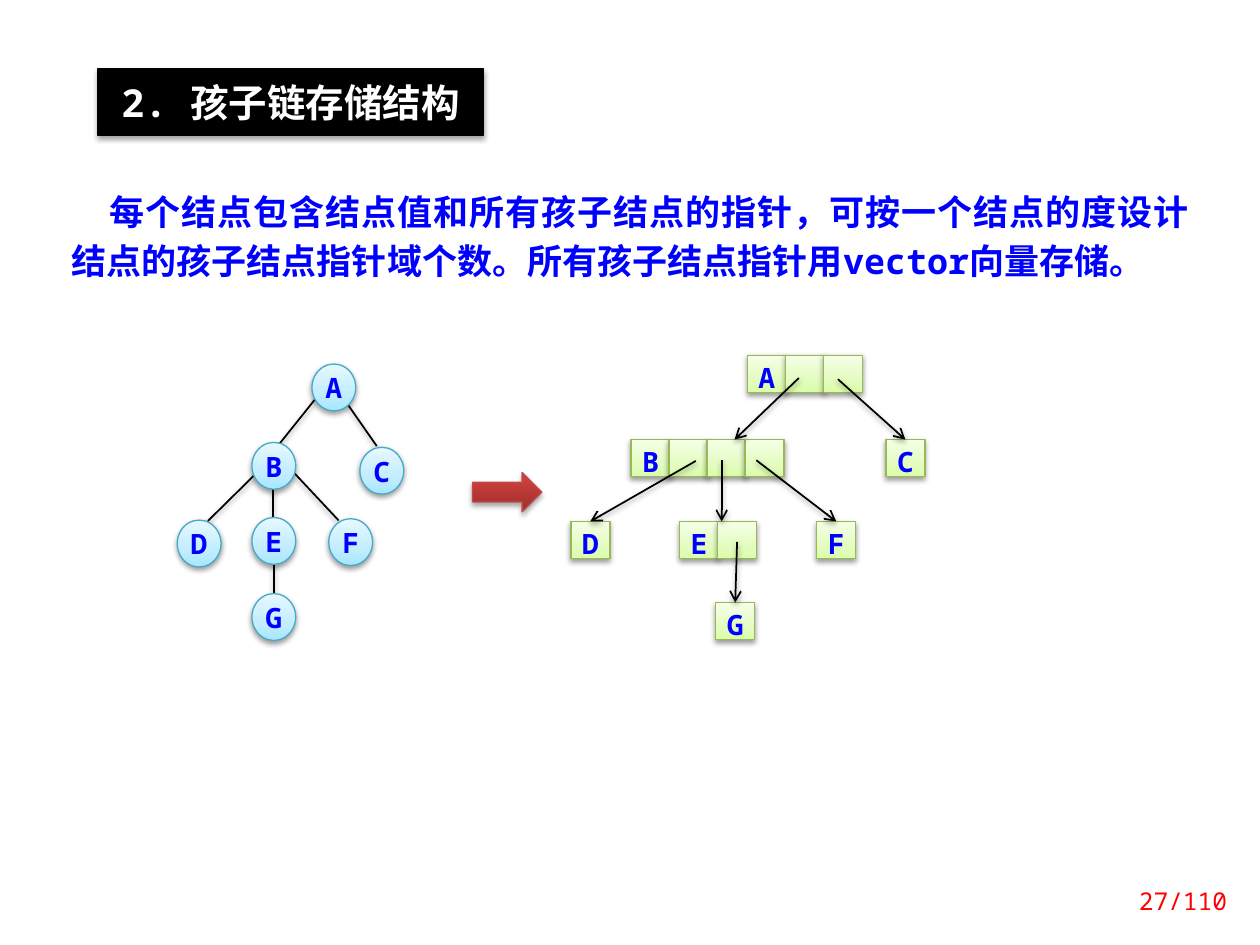
from copy import deepcopy

from lxml import etree
from pptx import Presentation
from pptx.dml.color import RGBColor
from pptx.enum.shapes import MSO_CONNECTOR, MSO_SHAPE
from pptx.enum.text import MSO_ANCHOR, MSO_AUTO_SIZE, PP_ALIGN
from pptx.oxml.ns import qn
from pptx.util import Pt

OVAL = MSO_SHAPE.OVAL
RECTANGLE = MSO_SHAPE.RECTANGLE
RIGHT_ARROW = MSO_SHAPE.RIGHT_ARROW
STRAIGHT = MSO_CONNECTOR.STRAIGHT
TOP, MIDDLE = MSO_ANCHOR.TOP, MSO_ANCHOR.MIDDLE
NO_AUTOFIT = MSO_AUTO_SIZE.NONE
CENTER, JUSTIFY, RIGHT = PP_ALIGN.CENTER, PP_ALIGN.JUSTIFY, PP_ALIGN.RIGHT

FONT = "Noto Sans Mono"
BLACK, WHITE, BLUE, RED = "000000", "FFFFFF", "0000FF", "FF0000"
NODE_STYLE = [(0, "A7E6FF"), (0.35, "C1EDFF"), (1, "E7F8FF")], "46AAC5"
CELL_STYLE = [(0, "DAFDA7"), (0.35, "E4FCC2"), (1, "F5FFE7")], "98B955"
ARROW_STYLE = [(0, "9C2F2D"), (0.8, "CB3E3A"), (1, "CE3B37")], "BF4C48"

NODE_WIDTH, NODE_HEIGHT = 25, 26.8
CELL_WIDTH, CELL_HEIGHT, CELL_PITCH = 22.3, 21.2, 21.7
ROW_TOPS = [203, 251.2, 298, 344.3]

TREE_EDGES = [
    (146.2, 270.7, 118.8, 297.7),
    (156.6, 321.8, 156.6, 338.7),
    (180, 228.2, 159.8, 253.5),
    (198.7, 231.1, 215.3, 254.9),
    (156.2, 278.9, 156.2, 295.7),
    (168.5, 270.7, 193.5, 297.4),
]
TREE_NODES = [
    ("A", 178.3, 208),
    ("B", 144, 252.8),
    ("C", 205.7, 255.6),
    ("F", 187.9, 296.4),
    ("D", 101.3, 297.2),
    ("E", 144, 295.7),
    ("G", 144, 339.2),
]
RECORDS = [
    ("A", 427, 0, 2),
    ("B", 360.6, 1, 3),
    ("C", 506.2, 1, 0),
    ("D", 326.2, 2, 0),
    ("E", 388.2, 2, 1),
    ("G", 409, 3, 0),
    ("F", 466.7, 2, 0),
]
POINTERS = [
    (456.5, 216, 419.8, 251.2, None),
    (478.8, 216.7, 515.5, 251.2, "C"),
    (397.6, 263.4, 337, 296.8, "D"),
    (421.2, 309.6, 421.2, 344.3, "G"),
    (412.4, 263, 412.4, 298, None),
    (432.2, 263, 476.6, 298, "F"),
]


def color(value):
    return RGBColor.from_string(value)


def add_shadow(shape, opacity=38, distance=1.6):
    effects = etree.SubElement(shape._element.spPr, qn("a:effectLst"))
    shadow = etree.SubElement(
        effects, qn("a:outerShdw"), blurRad=str(Pt(3.1)), dist=str(Pt(distance)),
        dir="5400000", rotWithShape="0")
    shade = etree.SubElement(shadow, qn("a:srgbClr"), val=BLACK)
    etree.SubElement(shade, qn("a:alpha"), val=str(opacity * 1000))


def set_line(line, value, width):
    line.color.rgb = color(value)
    line.width = Pt(width)


def fill_gradient(shape, stops):
    shape.fill.gradient()
    shape.fill.gradient_angle = 90
    stop_list = shape._element.spPr.find(".//" + qn("a:gsLst"))
    stop_list.append(deepcopy(stop_list[-1]))
    for stop, (position, value) in zip(shape.fill.gradient_stops, stops):
        stop.position = position
        stop.color.rgb = color(value)


def write_text(shape, text, size, value, alignment, anchor, margins, bold=True, spacing=None):
    frame = shape.text_frame
    frame.text = text
    frame.word_wrap = True
    frame.auto_size = NO_AUTOFIT
    frame.vertical_anchor = anchor
    horizontal, vertical = margins
    frame.margin_left = frame.margin_right = Pt(horizontal)
    frame.margin_top = frame.margin_bottom = Pt(vertical)
    paragraph = frame.paragraphs[0]
    paragraph.alignment = alignment
    if spacing:
        paragraph.line_spacing = Pt(spacing)
    font = paragraph.runs[0].font
    font.name, font.size, font.bold = FONT, Pt(size), bold
    font.color.rgb = color(value)
    etree.SubElement(font._element, qn("a:ea"), typeface=FONT)
    return paragraph


def format_title(slide):
    title = slide.shapes.title
    title.left, title.top, title.width, title.height = Pt(56), Pt(39.2), Pt(220), Pt(38.4)
    title.fill.solid()
    title.fill.fore_color.rgb = color(BLACK)
    set_line(title.line, BLACK, 0.75)
    add_shadow(title, 35, 1.8)
    write_text(title, "2. 孩子链存储结构", 22, WHITE, CENTER, MIDDLE, (7.2, 0))


def add_text(slide, box, *text_format, **options):
    text_box = slide.shapes.add_textbox(*map(Pt, box))
    return write_text(text_box, *text_format, **options)


def add_block(slide, preset, box, style, opacity=38, distance=1.6):
    shape = slide.shapes.add_shape(preset, *map(Pt, box))
    stops, outline = style
    fill_gradient(shape, stops)
    set_line(shape.line, outline, 0.75)
    add_shadow(shape, opacity, distance)
    return shape


def add_edge(slide, ends, arrow=False, target=None):
    connector = slide.shapes.add_connector(STRAIGHT, *map(Pt, ends))
    set_line(connector.line, BLACK, 1)
    if arrow:
        outline = connector._element.spPr.find(qn("a:ln"))
        etree.SubElement(outline, qn("a:tailEnd"), type="arrow")
    if target is not None:
        connector.end_connect(target, 0)
    add_shadow(connector)


def add_tree(slide):
    for ends in TREE_EDGES:
        add_edge(slide, ends)
    for name, left, top in TREE_NODES:
        node = add_block(slide, OVAL, (left, top, NODE_WIDTH, NODE_HEIGHT), NODE_STYLE)
        write_text(node, name, 16, BLUE, CENTER, TOP, (0, 0))


def add_linked_records(slide):
    heads = {}
    for name, left, row, pointer_count in RECORDS:
        cells = [
            add_block(slide, RECTANGLE,
                      (left + index * CELL_PITCH, ROW_TOPS[row], CELL_WIDTH, CELL_HEIGHT),
                      CELL_STYLE)
            for index in range(pointer_count + 1)
        ]
        write_text(cells[0], name, 16, BLUE, CENTER, TOP, (0, 0), spacing=22)
        heads[name] = cells[0]
    for *ends, target in POINTERS:
        add_edge(slide, ends, arrow=True, target=heads.get(target))


def main():
    presentation = Presentation()
    presentation.slide_width, presentation.slide_height = Pt(720), Pt(540)
    slide = presentation.slides.add_slide(presentation.slide_layouts[5])
    format_title(slide)
    description = add_text(
        slide, (33.8, 101.5, 652.4, 64),
        "每个结点包含结点值和所有孩子结点的指针，可按一个结点的度设计"
        "结点的孩子结点指针域个数。所有孩子结点指针用vector向量存储。",
        20, BLUE, JUSTIFY, TOP, (7.2, 3.6), spacing=28)
    description._p.get_or_add_pPr().set("indent", str(Pt(21.5)))
    add_tree(slide)
    add_linked_records(slide)
    add_block(slide, RIGHT_ARROW, (270, 270, 39.6, 22.5), ARROW_STYLE, 35, 1.8)
    add_text(slide, (626.4, 500.4, 82, 28.8), "27/110", 14, RED, RIGHT, MIDDLE, (7.2, 3.6),
             bold=False)
    presentation.save("out.pptx")


if __name__ == "__main__":
    main()
